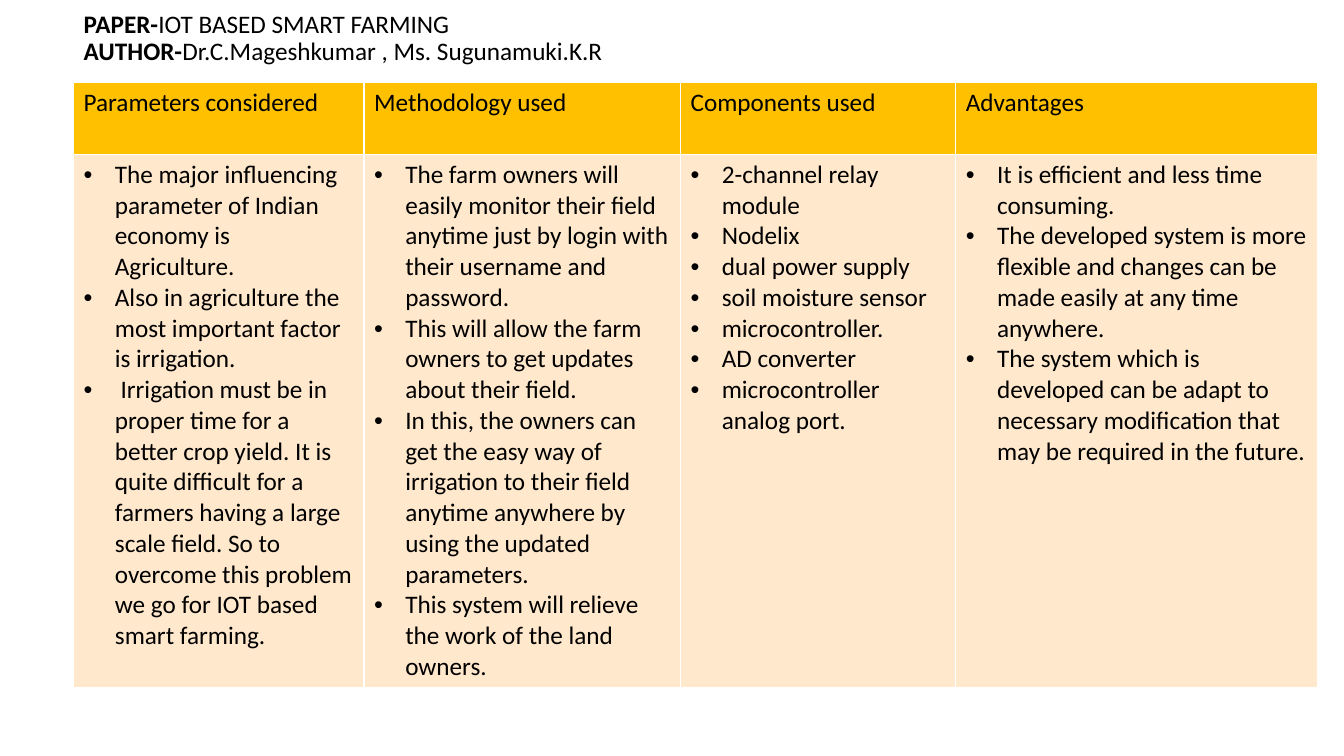
"""Build a slide that summarises a smart farming paper in a four-column table."""
import pptx
import pptx.dml.color
import pptx.enum.text
import pptx.oxml
import pptx.oxml.ns
import pptx.util
from pptx.util import Inches


def color(value):
    """Turn a hex string into a colour."""
    return pptx.dml.color.RGBColor.from_string(value)


def add_text(p, text, font="Calibri", size=18, fill="000000", bold=False):
    """Add a formatted run to a paragraph."""
    r = p.add_run()
    r.text = text
    r.font.name = font
    r.font.size = pptx.util.Pt(size)
    r.font.bold = bold
    r.font.color.rgb = color(fill)


def add_bullet(p, indent=Inches(0.31)):
    """Give a paragraph a hanging bullet."""
    pPr = p._p.get_or_add_pPr()
    pPr.set("marL", str(indent))
    pPr.set("indent", str(-indent))
    ns = pptx.oxml.ns.nsdecls("a")
    pPr.append(pptx.oxml.parse_xml(f'<a:buFont {ns} typeface="Arial"/>'))
    pPr.append(pptx.oxml.parse_xml(f'<a:buChar {ns} char="\u2022"/>'))


def add_borders(cell, line="FFFFFF", width=1):
    """Draw the same line on all four sides of a cell."""
    tcPr = cell._tc.get_or_add_tcPr()
    for i, side in enumerate(("lnL", "lnR", "lnT", "lnB")):
        tcPr.insert(i, pptx.oxml.parse_xml(
            f'<a:{side} {pptx.oxml.ns.nsdecls("a")} w="{pptx.util.Pt(width)}">'
            f'<a:solidFill><a:srgbClr val="{line}"/></a:solidFill></a:{side}>'))


class Deck:
    """Hold the style and the current slide."""

    header_fill = "FFC000"
    body_fill = "FFE8CC"

    def __init__(self, prs):
        """Start a slide that has only a title."""
        self.slide = prs.slides.add_slide(prs.slide_layouts[5])

    def title(self, lines, left, top, width, height):
        """Fill the title with lines of a bold label and plain text."""
        sp = self.slide.shapes.title
        sp.left, sp.top, sp.width, sp.height = left, top, width, height
        tf = sp.text_frame
        tf.word_wrap = True
        tf.vertical_anchor = pptx.enum.text.MSO_ANCHOR.MIDDLE
        for i, (label, text) in enumerate(lines):
            p = tf.add_paragraph() if i else tf.paragraphs[0]
            p.alignment = pptx.enum.text.PP_ALIGN.LEFT
            p.line_spacing = 0.9
            add_text(p, label, bold=True)
            add_text(p, text)

    def cell(self, cell, lines, fill, bulleted=False):
        """Fill a table cell with one paragraph for each line."""
        cell.fill.solid()
        cell.fill.fore_color.rgb = color(fill)
        add_borders(cell)
        tf = cell.text_frame
        for i, line in enumerate(lines):
            p = tf.add_paragraph() if i else tf.paragraphs[0]
            if bulleted:
                add_bullet(p)
            add_text(p, line)

    def table(self, columns, left, top, widths, heights):
        """Add a table with a heading and a bulleted list in each column."""
        table = self.slide.shapes.add_table(
            2, len(columns), left, top, sum(widths), sum(heights)).table
        for row, height in zip(table.rows, heights):
            row.height = height
        for i, (heading, items) in enumerate(columns.items()):
            table.columns[i].width = widths[i]
            self.cell(table.cell(0, i), [heading], self.header_fill)
            self.cell(table.cell(1, i), items, self.body_fill, bulleted=True)


TITLE = [
    ("PAPER-", "IOT BASED SMART FARMING"),
    ("AUTHOR-", "Dr.C.Mageshkumar , Ms. Sugunamuki.K.R"),
]
COLUMNS = {
    "Parameters considered": [
        "The major influencing parameter of Indian economy is Agriculture. ",
        "Also in agriculture the most important factor is irrigation.",
        " Irrigation must be in proper time for a better crop yield. It is quite "
        "difficult for a farmers having a large scale field. So to overcome this "
        "problem we go for IOT based smart farming. ",
    ],
    "Methodology used ": [
        "The farm owners will easily monitor their field anytime just by login "
        "with their username and password. ",
        "This will allow the farm owners to get updates about their field. ",
        "In this, the owners can get the easy way of irrigation to their field "
        "anytime anywhere by using the updated parameters. ",
        "This system will relieve the work of the land owners.",
    ],
    "Components used": [
        "2-channel relay module",
        "Nodelix",
        "dual power supply",
        "soil moisture sensor",
        "microcontroller.",
        "AD converter ",
        "microcontroller analog port.",
    ],
    "Advantages": [
        "It is efficient and less time consuming. ",
        "The developed system is more flexible and changes can be made easily "
        "at any time anywhere. ",
        "The system which is developed can be adapt to necessary modification "
        "that may be required in the future. ",
    ],
}

prs = pptx.Presentation()
prs.slide_width, prs.slide_height = Inches(13.33), Inches(7.5)
deck = Deck(prs)
deck.title(TITLE, Inches(0.73), Inches(-0.34), Inches(11.5), Inches(1.45))
deck.table(COLUMNS, Inches(0.73), Inches(0.82),
           widths=[Inches(w) for w in (2.88, 3.14, 2.73, 3.59)],
           heights=[Inches(h) for h in (0.71, 5.27)])
prs.save("out.pptx")
